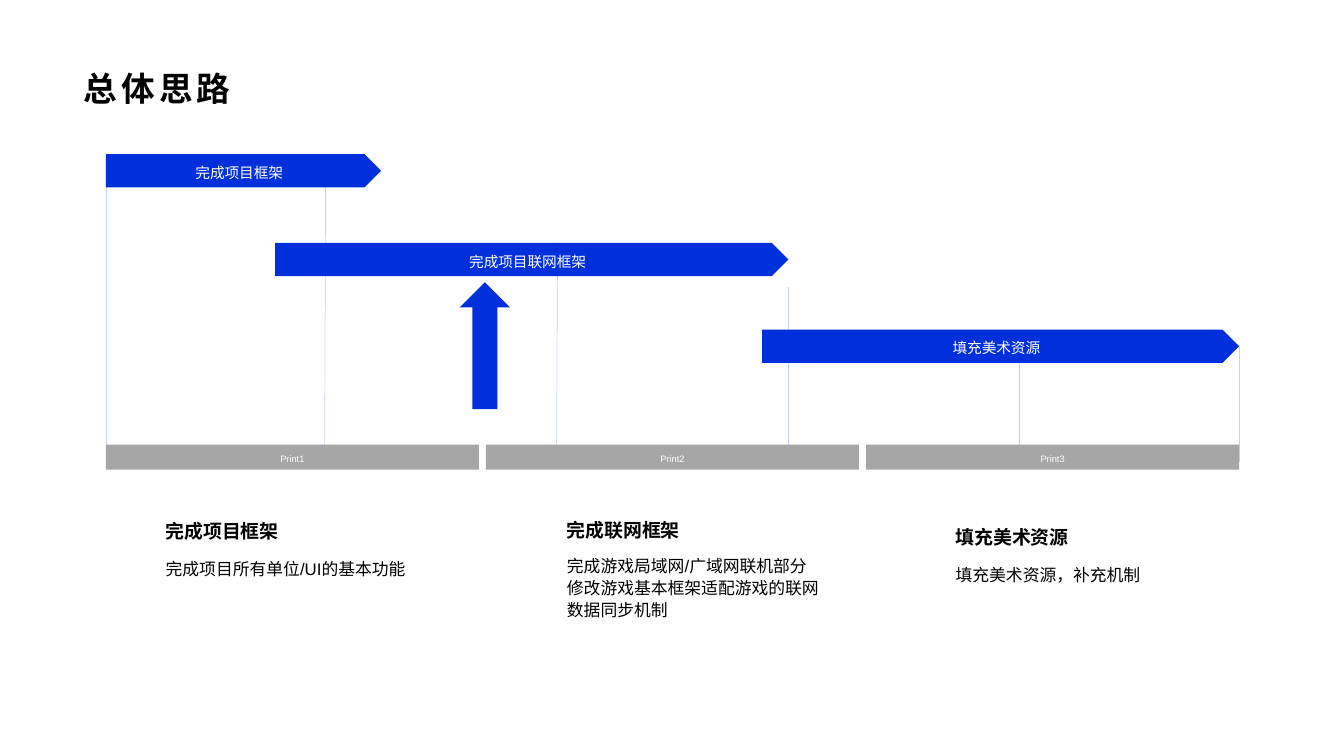
import pptx
import pptx.util
import pptx.dml.color
import pptx.enum.shapes
import pptx.enum.text
import pptx.oxml.ns
from lxml import etree

SHAPE = pptx.enum.shapes.MSO_SHAPE
ALIGN = pptx.enum.text.PP_ALIGN
ANCHOR = pptx.enum.text.MSO_ANCHOR


class Theme:
    blue = "002FDC"
    gray = "A6A6A6"
    pale = "C5D1FF"
    white = "FFFFFF"
    black = "000000"
    font = "Arial"
    title_font = "Noto Sans CJK SC"
    title, head, body, bar, phase = 24, 13.5, 12, 10.5, 6.6
    rule = 0.5


class Board:
    """One slide on a grid whose columns and rows are a tenth of an inch."""
    cell = 0.1

    def __init__(self, deck, theme):
        self.theme = theme
        self.slide = deck.slides.add_slide(deck.slide_layouts[6])

    def grid(self, *cells):
        return [pptx.util.Inches(n * self.cell) for n in cells]

    def color(self, code):
        return pptx.dml.color.RGBColor.from_string(code)

    def fill_text(self, frame, lines, size, color, bold=False, space=1.2,
                  align=ALIGN.LEFT, font=None, track=0):
        for i, line in enumerate(lines):
            para = frame.paragraphs[0] if i == 0 else frame.add_paragraph()
            para.alignment = align
            para.line_spacing = space
            run = para.add_run()
            run.text = line
            run.font.size = pptx.util.Pt(size)
            run.font.bold = bold
            run.font.name = font or self.theme.font
            run.font.color.rgb = self.color(color)
            props = run._r.get_or_add_rPr()
            if track:
                props.set("spc", str(track * 100))
            if font:
                east = etree.SubElement(props, pptx.oxml.ns.qn("a:ea"))
                east.set("typeface", font)

    def text(self, box, lines, size, wrap=True, anchor=ANCHOR.TOP, **style):
        frame = self.slide.shapes.add_textbox(*self.grid(*box)).text_frame
        frame.word_wrap = wrap
        frame.vertical_anchor = anchor
        self.fill_text(frame, lines, size, self.theme.black, **style)

    def block(self, kind, box, fill, label=None, size=None, space=1.2):
        shape = self.slide.shapes.add_shape(kind, *self.grid(*box))
        shape.shadow.inherit = False
        shape.fill.solid()
        shape.fill.fore_color.rgb = self.color(fill)
        shape.line.fill.background()
        if label:
            frame = shape.text_frame
            frame.word_wrap = False
            frame.vertical_anchor = ANCHOR.MIDDLE
            frame.margin_left = frame.margin_right = 0
            frame.margin_top = frame.margin_bottom = 0
            self.fill_text(frame, [label], size, self.theme.white,
                           space=space, align=ALIGN.CENTER)
        return shape

    def rule(self, *ends):
        line = self.slide.shapes.add_connector(
            pptx.enum.shapes.MSO_CONNECTOR.STRAIGHT, *self.grid(*ends))
        line.line.color.rgb = self.color(self.theme.pale)
        line.line.width = pptx.util.Pt(self.theme.rule)
        etree.SubElement(line._element.spPr, pptx.oxml.ns.qn("a:effectLst"))
        return line


def main():
    deck = pptx.Presentation()
    deck.slide_width = pptx.util.Inches(13.33)
    deck.slide_height = pptx.util.Inches(7.5)
    theme = Theme()
    board = Board(deck, theme)

    # Guide lines behind the bars
    last = board.rule(122.9, 34.3, 122.9, 45.8)
    for x1, y1, x2, y2 in [(10.5, 15.3, 10.5, 45.9), (32.3, 15.3, 32.2, 45.9),
                           (55.3, 24.1, 55.2, 45.9), (78.2, 28.5, 78.2, 46.3),
                           (101.1, 33.7, 101.1, 46.3)]:
        board.rule(x1, y1, x2, y2)

    # Phase strip
    left, step = 10.5, 37.7
    for i in range(3):
        board.block(SHAPE.RECTANGLE, (left + i * step, 44.1, 37, 2.5),
                    theme.gray, f"Print{i + 1}", theme.phase, space=1.3)

    # Task bars; the last guide hangs from the tip of the last bar
    for x, y, width, label in [(left, 15.3, 27.3, "完成项目框架"),
                               (27.3, 24.1, 50.9, "完成项目联网框架"),
                               (75.6, 32.7, 47.3, "填充美术资源")]:
        bar = board.block(SHAPE.PENTAGON, (x, y, width, 3.3),
                          theme.blue, label, theme.bar)
    last.begin_connect(bar, 3)

    # Notes under the phases
    for x, y, head, lines, space in [
            (15.45, 50.6, "完成项目框架", ["完成项目所有单位/UI的基本功能"], 1.2),
            (55.25, 50.5, "完成联网框架",
             ["完成游戏局域网/广域网联机部分",
              "修改游戏基本框架适配游戏的联网数据同步机制"], 1.1),
            (93.8, 51.2, "填充美术资源", ["填充美术资源，补充机制"], 1.2)]:
        board.text((x, y + 3.9, 27.7, 8.1), lines, theme.body, space=space)
        board.text((x, y, 24, 3.8), [head], theme.head, wrap=False, bold=True)

    # Title
    board.text((7.3, 5.2, 118.7, 6.1), ["总体思路"], theme.title, wrap=False,
               anchor=ANCHOR.BOTTOM, bold=True, space=0.9,
               font=theme.title_font, track=3)

    # Arrow to the network task
    board.block(SHAPE.UP_ARROW, (45.6, 28, 5, 12.6), theme.blue)

    deck.save("out.pptx")


if __name__ == "__main__":
    main()
